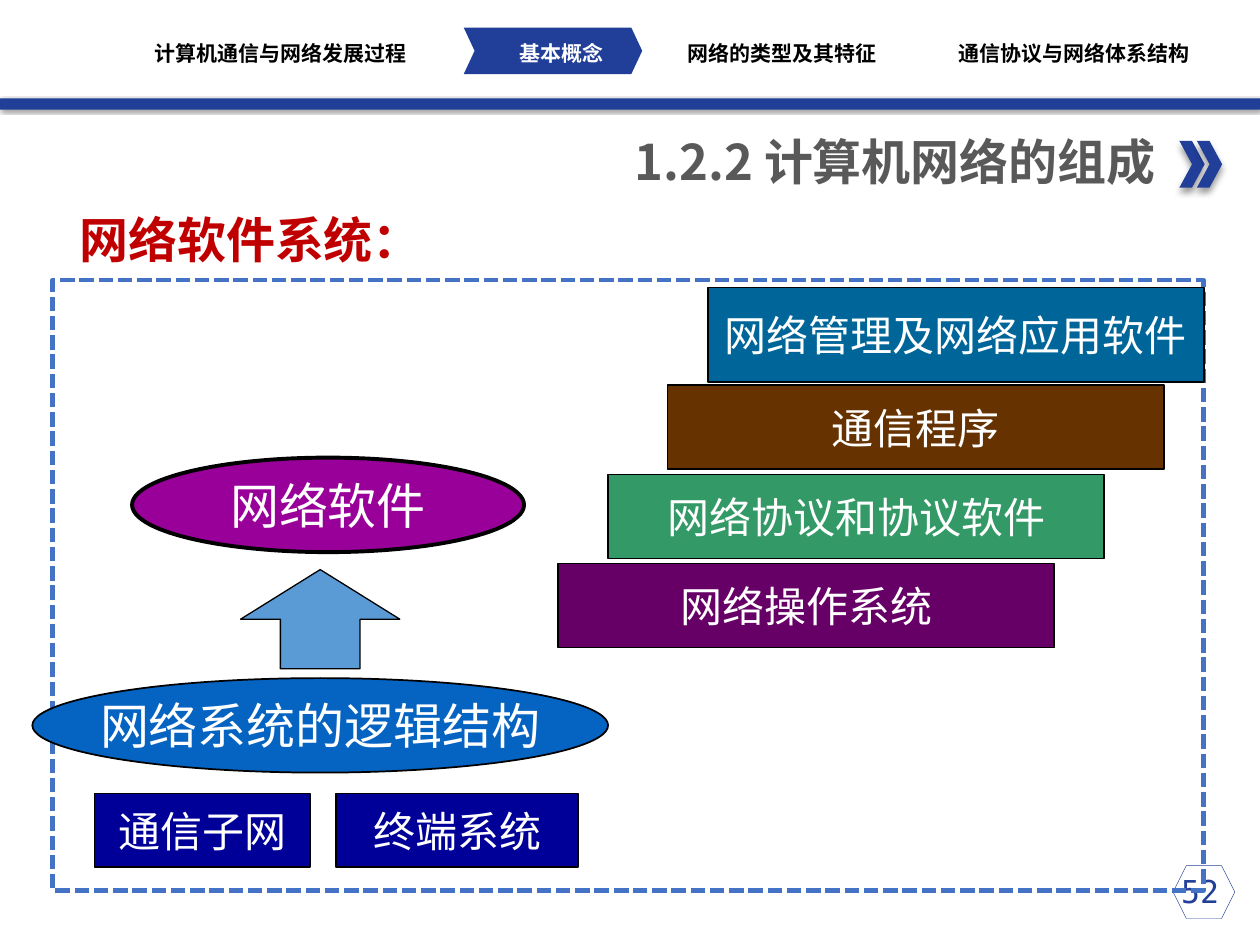
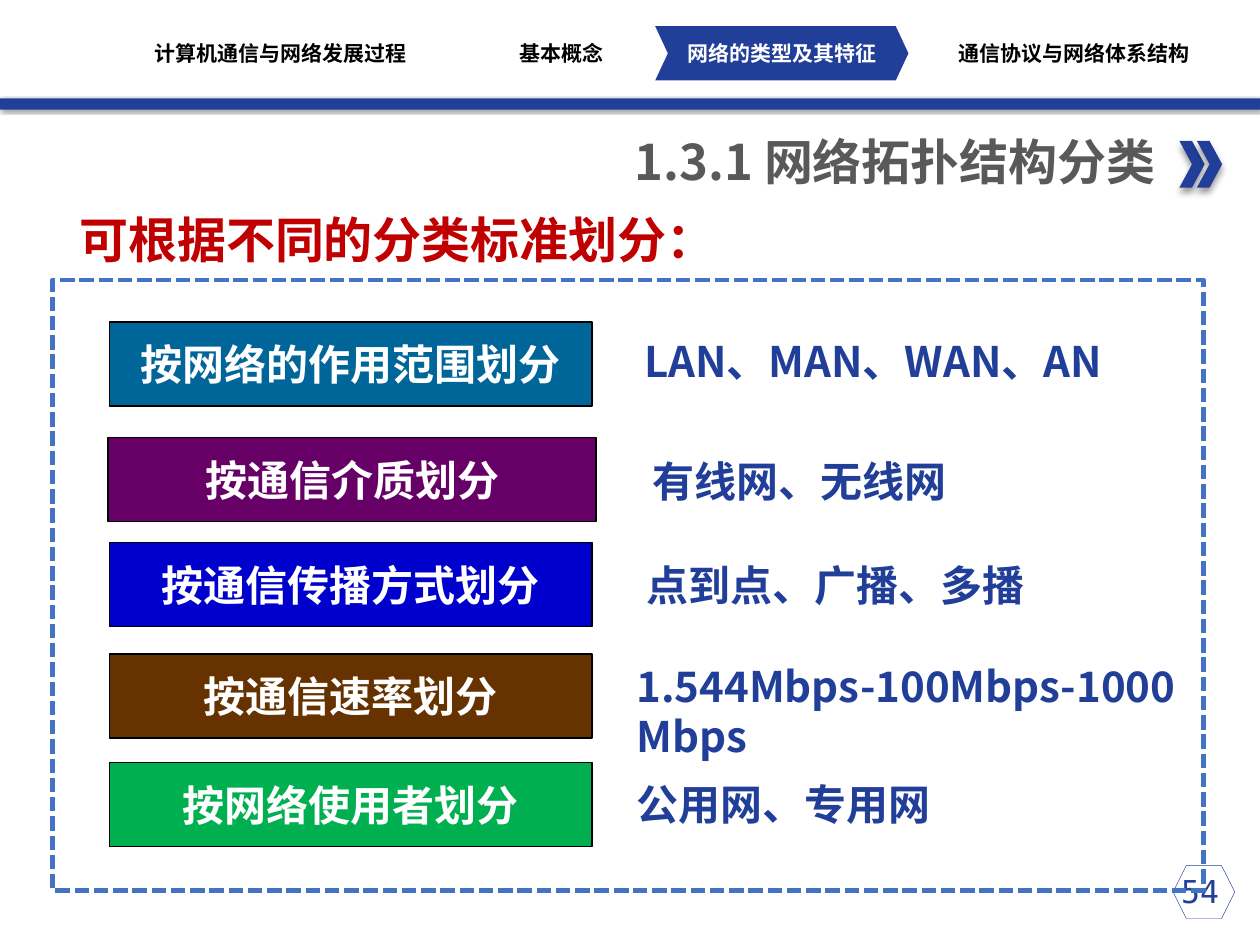
import pptx
import pptx.util
import pptx.dml.color
import pptx.enum.dml
import pptx.enum.shapes
import pptx.enum.text
import pptx.oxml
import pptx.oxml.ns
from dataclasses import dataclass
from lxml import etree

Pt = pptx.util.Pt
SHAPE = pptx.enum.shapes.MSO_SHAPE
ALIGN = pptx.enum.text.PP_ALIGN
ANCHOR = pptx.enum.text.MSO_ANCHOR
DASH = pptx.enum.dml.MSO_LINE


@dataclass(frozen=True)
class Theme:
    blue: str = "213F99"
    frame: str = "4472C4"
    title: str = "595959"
    heading: str = "C00000"
    black: str = "000000"
    white: str = "FFFFFF"
    teal: str = "006699"
    brown: str = "663300"
    plum: str = "660066"
    navy: str = "000099"
    font: str = "Noto Sans CJK SC"
    nav_font: str = "Roboto Condensed"
    number_font: str = "DejaVu Sans Mono"
    large: int = 28
    medium: int = 24
    page: int = 18
    nav: int = 12


THEME = Theme()

# Boxes are (left, top, width, height) in points.
# Navigation: label, left, width, right inset
SECTIONS = [
    ("计算机通信与网络发展过程", 82, 163, 6),
    ("基本概念", 268.5, 104.5, 0),
    ("网络的类型及其特征", 387.5, 118.5, 0),
    ("通信协议与网络体系结构", 523.5, 180.5, 0),
]

COMPOSITION = {
    "title": "1.2.2 计算机网络的组成",
    "heading": "网络软件系统：",
    "heading_width": 237.5,
    "page": "52",
    "section": 1,
    "marker": (265, 15.8, 102, 26.6),
}
# label, box, fill
SOFTWARE_LAYERS = [
    ("网络管理及网络应用软件", (404.5, 164.2, 283.5, 54), THEME.teal),
    ("通信程序", (381.5, 220.2, 283.5, 48), THEME.brown),
    ("网络协议和协议软件", (347.5, 271.2, 283.5, 48), "339966"),
    ("网络操作系统", (319, 322, 283.5, 48), THEME.plum),
]
SUBSYSTEMS = [
    ("通信子网", (54, 453.5, 123, 42), THEME.navy),
    ("终端系统", (192, 453.5, 138.5, 42), THEME.navy),
]
# label, box, fill, outline width
CORE_ELLIPSES = [
    ("网络软件", (75.5, 261.5, 224, 54), "990099", 2.25),
    ("网络系统的逻辑结构", (18.5, 387.5, 329, 54), "0563C1", 1),
]
UP_ARROW = (137.5, 325.5, 91, 56.7)

CLASSIFICATION = {
    "title": "1.3.1 网络拓扑结构分类",
    "heading": "可根据不同的分类标准划分：",
    "heading_width": 407.5,
    "page": "54",
    "section": 2,
    "marker": (374.4, 15, 144.7, 31),
}
# criterion, box, fill, kinds, kinds box
CRITERIA = [
    ("按网络的作用范围划分", (62.5, 184, 276, 48), THEME.teal,
     "LAN、MAN、WAN、AN", (361, 188, 323, 36.5)),
    ("按通信介质划分", (61.7, 250, 279, 48), THEME.plum,
     "有线网、无线网", (366, 257, 214, 36)),
    ("按通信传播方式划分", (62.5, 310, 276, 48), "0000CC",
     "点到点、广播、多播", (362.5, 316, 276, 36)),
    ("按通信速率划分", (62.5, 373.7, 276, 48), THEME.brown,
     "1.544Mbps-100Mbps-1000Mbps", (356.5, 373.7, 342, 65.5)),
    ("按网络使用者划分", (62.5, 435.7, 276, 48), "00B050",
     "公用网、专用网", (356.5, 441.5, 276, 36)),
]


def rgb(value):
    return pptx.dml.color.RGBColor.from_string(value)


def write(shape, text, size=THEME.medium, color=THEME.white, font=THEME.font, bold=False,
          align=ALIGN.LEFT, anchor=ANCHOR.TOP, wrap=True, insets=None):
    frame = shape.text_frame
    frame.word_wrap = wrap
    frame.vertical_anchor = anchor
    left, top, right, bottom = insets or (7.2, 3.6, 7.2, 3.6)
    frame.margin_left, frame.margin_top = Pt(left), Pt(top)
    frame.margin_right, frame.margin_bottom = Pt(right), Pt(bottom)
    paragraph = frame.paragraphs[0]
    paragraph.alignment = align
    run = paragraph.add_run()
    run.text = text
    run.font.name, run.font.size, run.font.bold = font, Pt(size), bold
    run.font.color.rgb = rgb(color)
    east_asian = etree.SubElement(run._r.get_or_add_rPr(), pptx.oxml.ns.qn("a:ea"))
    east_asian.set("typeface", THEME.font)


def add_text(slide, box, text, **style):
    write(slide.shapes.add_textbox(*map(Pt, box)), text, **style)


def draw(slide, kind, box, fill=None, line=None, line_width=1):
    shape = slide.shapes.add_shape(kind, *map(Pt, box))
    shape.shadow.inherit = False
    if fill:
        shape.fill.solid()
        shape.fill.fore_color.rgb = rgb(fill)
    else:
        shape.fill.background()
    if line:
        shape.line.color.rgb = rgb(line)
        shape.line.width = Pt(line_width)
    else:
        shape.line.fill.background()
    return shape


def draw_labelled(slide, kind, box, label, fill, line_width=1, **style):
    shape = draw(slide, kind, box, fill, THEME.black, line_width)
    write(shape, label, align=ALIGN.CENTER, anchor=ANCHOR.MIDDLE, wrap=False, **style)


def cast_shadow(shape, blur, distance, angle):
    effects = shape._element.spPr.find(pptx.oxml.ns.qn("a:effectLst"))
    effects.append(pptx.oxml.parse_xml(
        f'<a:outerShdw {pptx.oxml.ns.nsdecls("a")} blurRad="{Pt(blur)}" dist="{Pt(distance)}" '
        f'dir="{angle * 60000}" algn="ctr" rotWithShape="0">'
        f'<a:srgbClr val="{THEME.black}"><a:alpha val="40000"/></a:srgbClr></a:outerShdw>'))


def add_base_slide(deck, topic):
    """Add a slide with the navigation, title, heading, frame and page number."""
    slide = deck.slides.add_slide(deck.slide_layouts[5])
    draw(slide, SHAPE.HEXAGON, (670.3, 494.6, 35.3, 30.3), line=THEME.blue, line_width=0.25)
    band = draw(slide, SHAPE.RECTANGLE, (0, 56.2, 720, 6.5), THEME.blue)
    cast_shadow(band, 2, 1, 45)
    for left in (674, 684):
        chevron = draw(slide, SHAPE.CHEVRON, (left, 80.6, 14.4, 26.6), THEME.blue)
        cast_shadow(chevron, 4, 3, 90)
    add_text(slide, (654.5, 494.6, 62.6, 28.8), topic["page"], size=THEME.page,
             color=THEME.blue, font=THEME.number_font, align=ALIGN.CENTER)

    title = slide.shapes.title
    title.left, title.top, title.width, title.height = map(Pt, (224, 71.3, 443.5, 41))
    write(title, topic["title"], size=THEME.large, color=THEME.title, bold=True,
          align=ALIGN.RIGHT)

    frame = draw(slide, SHAPE.RECTANGLE, (30.2, 160, 657.4, 349), line=THEME.frame,
                 line_width=2.75)
    frame.line.dash_style = DASH.SQUARE_DOT
    marker = draw(slide, SHAPE.CHEVRON, topic["marker"], THEME.blue)
    marker.adjustments[0] = 0.234
    for index, (label, left, width, right_inset) in enumerate(SECTIONS):
        add_text(slide, (left, 23, width, 14.4), label, size=THEME.nav,
                 color=THEME.white if index == topic["section"] else THEME.black,
                 font=THEME.nav_font, bold=True, align=ALIGN.CENTER,
                 anchor=ANCHOR.MIDDLE, insets=(0, 0, right_inset, 0))
    add_text(slide, (19.4, 116, topic["heading_width"], 41), topic["heading"],
             size=THEME.large, color=THEME.heading, bold=True, insets=(26, 3.6, 0, 3.6))
    return slide


def build_composition(deck):
    slide = add_base_slide(deck, COMPOSITION)
    for label, box, fill, line_width in CORE_ELLIPSES:
        draw_labelled(slide, SHAPE.OVAL, box, label, fill, line_width, size=THEME.large)
    for label, box, fill in SOFTWARE_LAYERS + SUBSYSTEMS:
        draw_labelled(slide, SHAPE.RECTANGLE, box, label, fill)
    draw(slide, SHAPE.UP_ARROW, UP_ARROW, "5B9BD5", THEME.black, 0.75)


def build_classification(deck):
    slide = add_base_slide(deck, CLASSIFICATION)
    for criterion, box, fill, kinds, kinds_box in CRITERIA:
        draw_labelled(slide, SHAPE.RECTANGLE, box, criterion, fill, bold=True)
        add_text(slide, kinds_box, kinds, color=THEME.blue, bold=True)


def main():
    deck = pptx.Presentation()
    deck.slide_width, deck.slide_height = Pt(720), Pt(540)
    build_composition(deck)
    build_classification(deck)
    deck.save("out.pptx")


if __name__ == "__main__":
    main()
